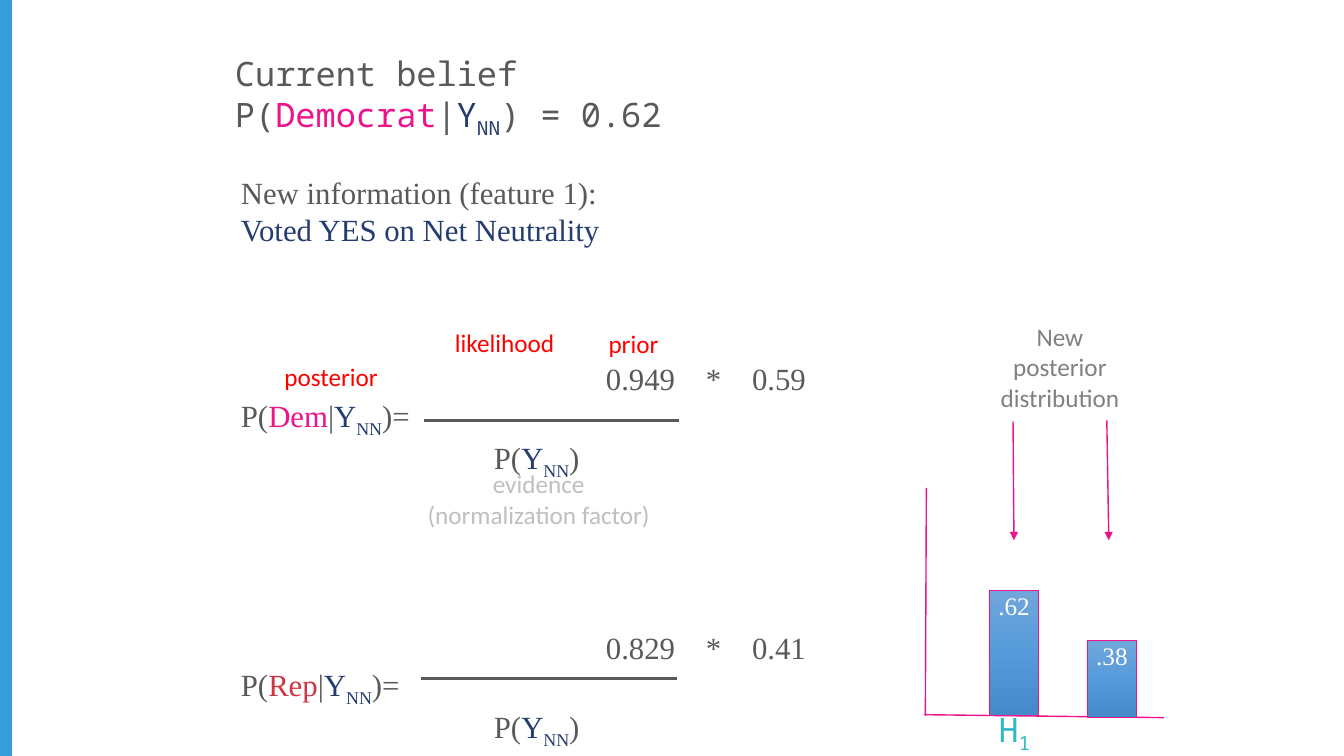
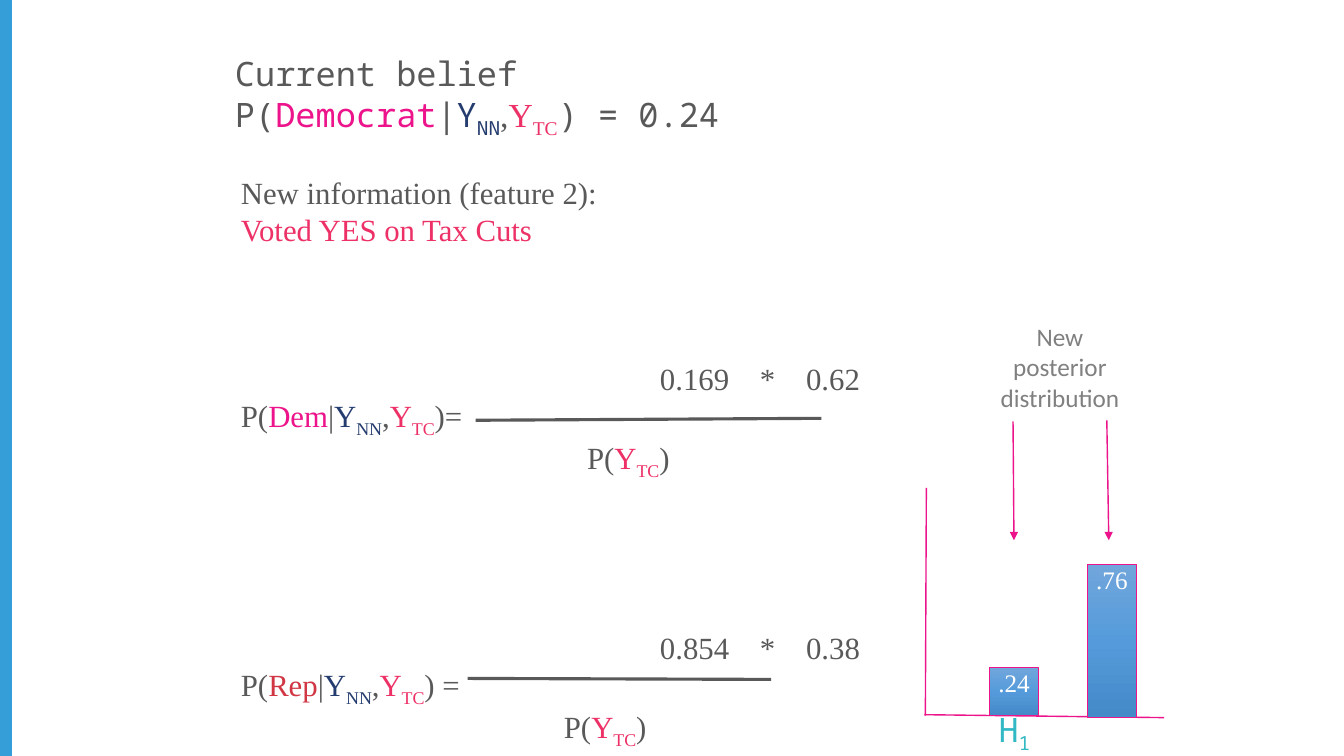
from dataclasses import dataclass
from typing import Any, NamedTuple

from lxml.etree import SubElement
from pptx import Presentation
from pptx.dml.color import RGBColor
from pptx.enum.shapes import MSO_CONNECTOR, MSO_SHAPE
from pptx.enum.text import MSO_ANCHOR, MSO_AUTO_SIZE, PP_ALIGN
from pptx.oxml import parse_xml
from pptx.oxml.ns import nsdecls, qn
from pptx.util import Pt

HUES = {
    "band": "359ED8", "text": "595959", "pink": "EC138B", "navy": "253C6F",
    "rose": "ED3167", "red": "D03643", "teal": "33B9C5", "alert": "FF0000",
    "pale": "BFBFBF", "gray": "808080", "white": "FFFFFF",
    "top": "70A6DB", "mid": "559BDB", "low": "448AC9",
}
MONO, SERIF, SANS = "Noto Sans Mono", "Times New Roman", "Calibri"
INSET = 3.6
SCALE = 144


class Box(NamedTuple):
    left: float
    top: float
    width: float
    height: float


class Line(NamedTuple):
    x: float
    y: float
    end_x: float
    end_y: float


class Run(NamedTuple):
    text: str
    hue: str = "text"
    low: bool = False
    font: str = ""
    spread: float = 0


class Note(NamedTuple):
    box: Box
    lines: tuple[str, ...]
    hue: str


class Bar(NamedTuple):
    left: float
    base: float
    value: float


@dataclass
class Ratio:
    left: list[Run]
    top: tuple[str, str]
    under: list[Run]
    top_in: float
    low_in: float
    rule: Line


@dataclass
class Page:
    belief: list[Run]
    news: str
    vote: Run
    ratios: list[Ratio]
    bars: list[Bar]
    notes: list[Note]


def apply(item: Any, style: dict[str, Any]) -> None:
    for key, value in style.items():
        setattr(item, key, value)


def color(hue: str) -> RGBColor:
    return RGBColor.from_string(HUES[hue])


def place(shape: Any, box: Box) -> None:
    apply(shape, {key: Pt(value) for key, value in box._asdict().items()})


def frame(shape: Any, inset: float = INSET) -> Any:
    text = shape.text_frame
    sides = ("left", "right", "top", "bottom")
    apply(text, {f"margin_{side}": Pt(inset) for side in sides})
    apply(text, {"word_wrap": True, "auto_size": MSO_AUTO_SIZE.NONE,
                 "vertical_anchor": MSO_ANCHOR.TOP})
    return text


def write(text: Any, first: bool, runs: list[Run], font: str, size: float,
          style: dict[str, Any], indent: float = 0) -> None:
    para = text.paragraphs[0] if first else text.add_paragraph()
    apply(para, {"space_before": Pt(0), **style})
    props = para._p.get_or_add_pPr()
    props.set("marL", str(int(Pt(indent))))
    props.set("indent", "0")
    SubElement(props, qn("a:buNone"))
    for part in runs:
        run = para.add_run()
        run.text = part.text
        apply(run.font, {"name": part.font or font, "size": Pt(size)})
        run.font.color.rgb = color(part.hue)
        if part.low:
            run._r.get_or_add_rPr().set("baseline", "-25000")
        if part.spread:
            run._r.get_or_add_rPr().set("spc", str(int(part.spread * 100)))


def draw_line(slide: Any, line: Line, hue: str, width: float,
              arrow: bool = False) -> None:
    link = slide.shapes.add_connector(
        MSO_CONNECTOR.STRAIGHT, *(Pt(value) for value in line))
    link.line.color.rgb = color(hue)
    link.line.width = Pt(width)
    if arrow:
        SubElement(link.line._get_or_add_ln(), qn("a:tailEnd"), type="triangle")
    SubElement(link._element.spPr, qn("a:effectLst"))


def draw_note(slide: Any, note: Note) -> None:
    text = frame(slide.shapes.add_textbox(*(Pt(value) for value in note.box)))
    for index, words in enumerate(note.lines):
        write(text, index == 0, [Run(words, note.hue)], SANS, 18,
              {"alignment": PP_ALIGN.CENTER})


def draw_bar(slide: Any, bar: Bar) -> None:
    height = bar.value * SCALE
    box = Box(bar.left, bar.base - height, 34.6, height)
    shape = slide.shapes.add_shape(
        MSO_SHAPE.RECTANGLE, *(Pt(value) for value in box))
    shape.shadow.inherit = False
    stops = "".join(
        f'<a:gs pos="{pos}"><a:srgbClr val="{HUES[hue]}"/></a:gs>'
        for pos, hue in ((0, "top"), (50000, "mid"), (100000, "low")))
    shape._element.spPr.insert(2, parse_xml(
        f'<a:gradFill {nsdecls("a")}><a:gsLst>{stops}</a:gsLst>'
        '<a:lin ang="5400000" scaled="0"/></a:gradFill>'))
    shape.line.color.rgb = color("pink")
    shape.line.width = Pt(0.5)
    label = f"{bar.value:.2f}".lstrip("0")
    write(frame(shape, 0), True, [Run(label, "white")], SERIF, 18,
          {"alignment": PP_ALIGN.CENTER})


def draw_plot(slide: Any, bars: list[Bar]) -> None:
    draw_line(slide, Line(661.7, 348.5, 661, 511.2), "pink", 1)
    draw_line(slide, Line(831.6, 512.6, 660.2, 510.5), "pink", 1)
    for bar in bars:
        draw_bar(slide, bar)
    for arrow in (Line(723.6, 301, 724.3, 385.9),
                  Line(790.6, 300.2, 792, 385.9)):
        draw_line(slide, arrow, "pink", 1, True)
    label = slide.shapes.add_textbox(Pt(704.6), Pt(501.1), Pt(40), Pt(38))
    write(frame(label, 0), True, [Run("H", "teal"), Run("1", "teal", True)],
          MONO, 24, {"alignment": PP_ALIGN.CENTER, "line_spacing": Pt(38)})
    draw_note(slide, Note(Box(702, 226.1, 110.2, 72.7),
                          ("New", "posterior", "distribution"), "gray"))


def fill_title(slide: Any, belief: list[Run]) -> None:
    title = slide.shapes.title
    place(title, Box(164.2, 37, 627, 80))
    text = frame(title)
    style = {"alignment": PP_ALIGN.LEFT, "line_spacing": 0.92}
    for index, runs in enumerate(([Run("Current belief")], belief)):
        write(text, index == 0, runs, MONO, 24, style)


def fill_body(slide: Any, page: Page) -> None:
    body = slide.placeholders[1]
    place(body, Box(168.5, 120.5, 457.2, 419.5))
    text = frame(body)
    base = {"alignment": PP_ALIGN.LEFT, "line_spacing": 1.0}
    write(text, True, [Run(page.news)], SERIF, 22, base)
    write(text, False, [page.vote], SERIF, 22, base)
    gap = Run(" ", spread=16.5)
    for ratio, above in zip(page.ratios, (80, 106)):
        chance, prior = ratio.top
        write(text, False, [Run(chance), gap, Run("*"), gap, Run(prior)],
              SERIF, 22, {**base, "space_before": Pt(above)}, ratio.top_in)
        write(text, False, ratio.left, SERIF, 22, base)
        write(text, False, [Run("P("), *ratio.under, Run(")")], SERIF, 22,
              base, ratio.low_in)
        draw_line(slide, ratio.rule, "text", 2.25)


def draw_band(deck: Any, slide: Any) -> None:
    band = slide.shapes.add_shape(
        MSO_SHAPE.RECTANGLE, 0, 0, Pt(8.6), deck.slide_height)
    band.shadow.inherit = False
    band.fill.solid()
    band.fill.fore_color.rgb = color("band")
    band.line.fill.background()
    deck.slide_master.shapes._spTree.insert(2, band._element)


def bars(first: float, second: float) -> list[Bar]:
    return [Bar(707, 511.2, first), Bar(776.9, 512.4, second)]


NET = [Run("Y", "navy"), Run("NN", "navy", True)]
TAX = [Run("Y", "rose"), Run("TC", "rose", True)]
SERIF_TAX = [Run(part.text, part.hue, part.low, SERIF) for part in TAX]
BOTH = [*NET, Run(","), *TAX]


def given(party: str, hue: str, facts: list[Run], close: str) -> list[Run]:
    return [Run("P("), Run(party, hue), Run("|"), *facts, Run(close)]


PAGES = [
    Page(
        given("Democrat", "pink", NET, ") = 0.62"),
        "New information (feature 1):",
        Run("Voted YES on Net Neutrality", "navy"),
        [
            Ratio(given("Dem", "pink", NET, ")="), ("0.949", "0.59"),
                  NET, 260.7, 180.7, Line(303.1, 300.2, 485.3, 300.2)),
            Ratio(given("Rep", "red", NET, ")="), ("0.829", "0.41"),
                  NET, 260.7, 180.7, Line(301, 484.6, 483.8, 484.6)),
        ],
        bars(0.62, 0.38),
        [
            Note(Box(419, 231.1, 67, 28.8), ("prior",), "alert"),
            Note(Box(193.7, 254.9, 85.7, 28.8), ("posterior",), "alert"),
            Note(Box(315.4, 230.4, 90, 28.8), ("likelihood",), "alert"),
            Note(Box(246.2, 331.2, 277.2, 51.1),
                 ("evidence", "(normalization factor)"), "pale"),
        ],
    ),
    Page(
        given("Democrat", "pink",
              [*NET, Run(",", font=SERIF), *SERIF_TAX], ") = 0.24"),
        "New information (feature 2):",
        Run("Voted YES on Tax Cuts", "rose"),
        [
            Ratio(given("Dem", "pink", BOTH, ")="), ("0.169", "0.62"),
                  TAX, 299.3, 247.2, Line(339.8, 300.2, 586.8, 298.8)),
            Ratio(given("Rep", "red", BOTH, ") ="), ("0.854", "0.38"),
                  TAX, 299.3, 230.7, Line(334.1, 484.6, 550.8, 485.3)),
        ],
        bars(0.24, 0.76),
        [],
    ),
]


def main() -> None:
    deck = Presentation()
    apply(deck, {"slide_width": Pt(960), "slide_height": Pt(540)})
    for index, page in enumerate(PAGES):
        slide = deck.slides.add_slide(deck.slide_layouts[1])
        if index == 0:
            draw_band(deck, slide)
        fill_title(slide, page.belief)
        fill_body(slide, page)
        draw_plot(slide, page.bars)
        for note in page.notes:
            draw_note(slide, note)
    deck.save("out.pptx")


if __name__ == "__main__":
    main()
